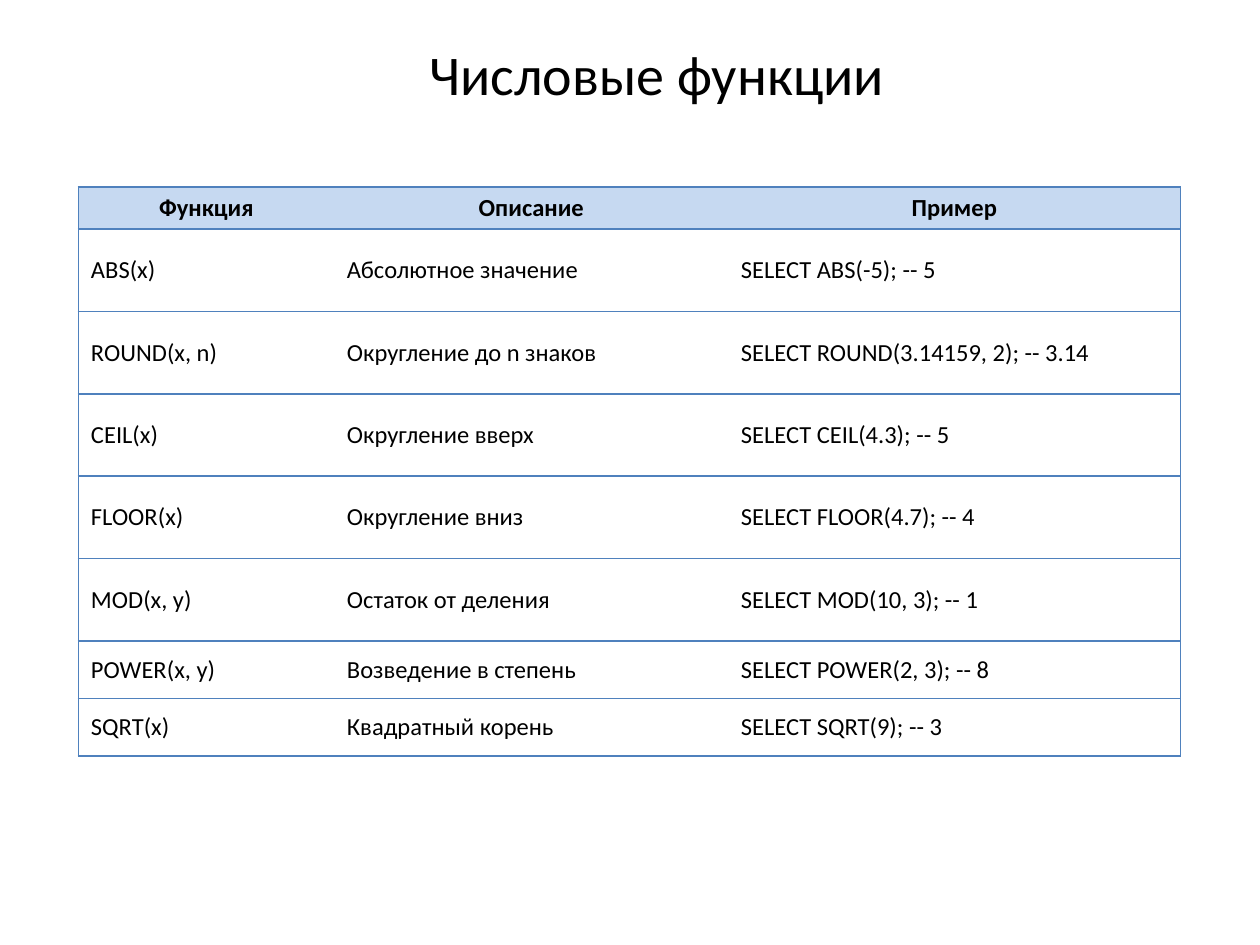
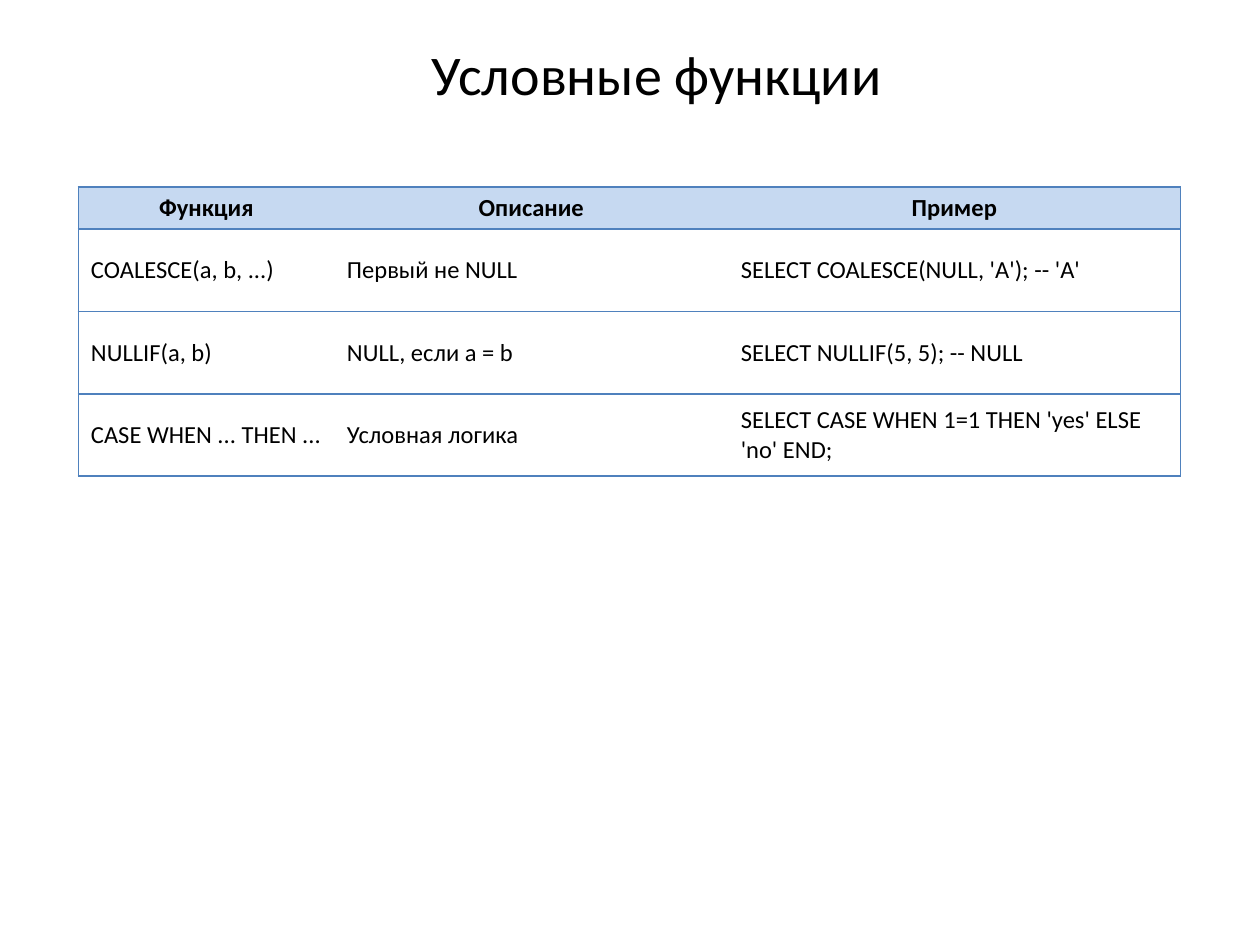
"""Build two slides with tables of SQL functions."""
from dataclasses import dataclass

from lxml import etree
from pptx import Presentation
from pptx import util as u
from pptx.dml.color import RGBColor
from pptx.enum import text
from pptx.oxml.ns import qn


@dataclass(frozen=True)
class Theme:
    """Colours, font and type sizes of the deck."""
    ink: str = "000000"
    line: str = "4F81BD"
    head: str = "C6D9F1"
    body: str = "FFFFFF"
    font: str = "Calibri"
    title: int = 32
    cell: int = 14
    rule: int = 1


THEME = Theme()
WIDTHS = (5.16, 7.94, 9.12)
TOP, TALL, SHORT = 0.69, 1.66, 1.16
HEADS = ("Функция", "Описание", "Пример")
NUMBERS = (
    ("ABS(x)", "Абсолютное значение", "SELECT ABS(-5); -- 5"),
    ("ROUND(x, n)", "Округление до n знаков", "SELECT ROUND(3.14159, 2); -- 3.14"),
    ("CEIL(x)", "Округление вверх", "SELECT CEIL(4.3); -- 5"),
    ("FLOOR(x)", "Округление вниз", "SELECT FLOOR(4.7); -- 4"),
    ("MOD(x, y)", "Остаток от деления", "SELECT MOD(10, 3); -- 1"),
    ("POWER(x, y)", "Возведение в степень", "SELECT POWER(2, 3); -- 8"),
    ("SQRT(x)", "Квадратный корень", "SELECT SQRT(9); -- 3"),
)
TESTS = (
    ("COALESCE(a, b, ...)", "Первый не NULL", "SELECT COALESCE(NULL, 'A'); -- 'A'"),
    ("NULLIF(a, b)", "NULL, если a = b", "SELECT NULLIF(5, 5); -- NULL"),
    ("CASE WHEN ... THEN ...", "Условная логика",
     "SELECT CASE WHEN 1=1 THEN 'yes' ELSE 'no' END;"),
)


def write(para, words, size, bold=False):
    """Add one run in the deck's font."""
    run = para.add_run()
    run.text = words
    run.font.name = THEME.font
    run.font.size = u.Pt(size)
    run.font.bold = bold
    run.font.color.rgb = RGBColor.from_string(THEME.ink)


def add_title(slide, words):
    """Fill and place the title placeholder."""
    title = slide.shapes.title
    title.left, title.top = u.Cm(1.27), u.Cm(0.76)
    title.width, title.height = u.Cm(22.86), u.Cm(1.4)
    frame = title.text_frame
    frame.margin_left = frame.margin_right = frame.margin_bottom = 0
    frame.margin_top = u.Cm(0.03)
    frame.vertical_anchor = text.MSO_ANCHOR.MIDDLE
    frame.auto_size = text.MSO_AUTO_SIZE.SHAPE_TO_FIT_TEXT
    para = frame.paragraphs[0]
    para.alignment = text.PP_ALIGN.CENTER
    para.space_before = u.Pt(1)
    props = title.element.find(".//" + qn("a:pPr"))
    props.set("marL", str(u.Cm(1.09)))
    props.set("indent", "0")
    write(para, words, THEME.title)


def add_rules(props, sides):
    """Draw the borders of a cell on the given sides."""
    for side in sides:
        line = etree.SubElement(props, qn("a:ln" + side), w=str(u.Pt(THEME.rule)))
        fill = etree.SubElement(line, qn("a:solidFill"))
        etree.SubElement(fill, qn("a:srgbClr"), val=THEME.line)


def fill_cell(cell, node, words, head, sides):
    """Write, outline and colour one cell."""
    cell.vertical_anchor = text.MSO_ANCHOR.MIDDLE
    add_rules(node.find(qn("a:tcPr")), sides)
    cell.fill.solid()
    cell.fill.fore_color.rgb = RGBColor.from_string(THEME.head if head else THEME.body)
    para = cell.text_frame.paragraphs[0]
    para.alignment = text.PP_ALIGN.CENTER if head else text.PP_ALIGN.LEFT
    write(para, words, THEME.cell, head)


def add_grid(slide, rows, heights):
    """Add a table with a header row and outer side borders."""
    rows = (HEADS, *rows)
    heights = (TOP, *heights)
    shape = slide.shapes.add_table(len(rows), len(WIDTHS), u.Cm(1.58), u.Cm(3.77),
                                   u.Cm(sum(WIDTHS)), u.Cm(sum(heights)))
    table = shape.table
    table.horz_banding = False
    style = shape.element.find(".//" + qn("a:tableStyleId"))
    style.text = "{2D5ABB26-0587-4C30-8999-92F81FD0307C}"
    for col, width in zip(table.columns, WIDTHS):
        col.width = u.Cm(width)
    for row, height in zip(table.rows, heights):
        row.height = u.Cm(height)
    nodes = shape.element.iter(qn("a:tc"))
    for i, (cell, node) in enumerate(zip(table.iter_cells(), nodes)):
        row, col = divmod(i, len(WIDTHS))
        sides = ("LTB", "TB", "RTB")[col]
        fill_cell(cell, node, rows[row][col], row == 0, sides)


def main():
    """Build and save the deck."""
    deck = Presentation()
    deck.slide_width, deck.slide_height = u.Cm(25.4), u.Cm(19.05)
    pages = (
        ("Числовые функции", NUMBERS, (TALL,) * 5 + (SHORT,) * 2),
        ("Условные функции", TESTS, (TALL,) * 3),
    )
    for title, rows, heights in pages:
        slide = deck.slides.add_slide(deck.slide_layouts[5])
        add_title(slide, title)
        add_grid(slide, rows, heights)
    deck.save("out.pptx")


if __name__ == "__main__":
    main()
